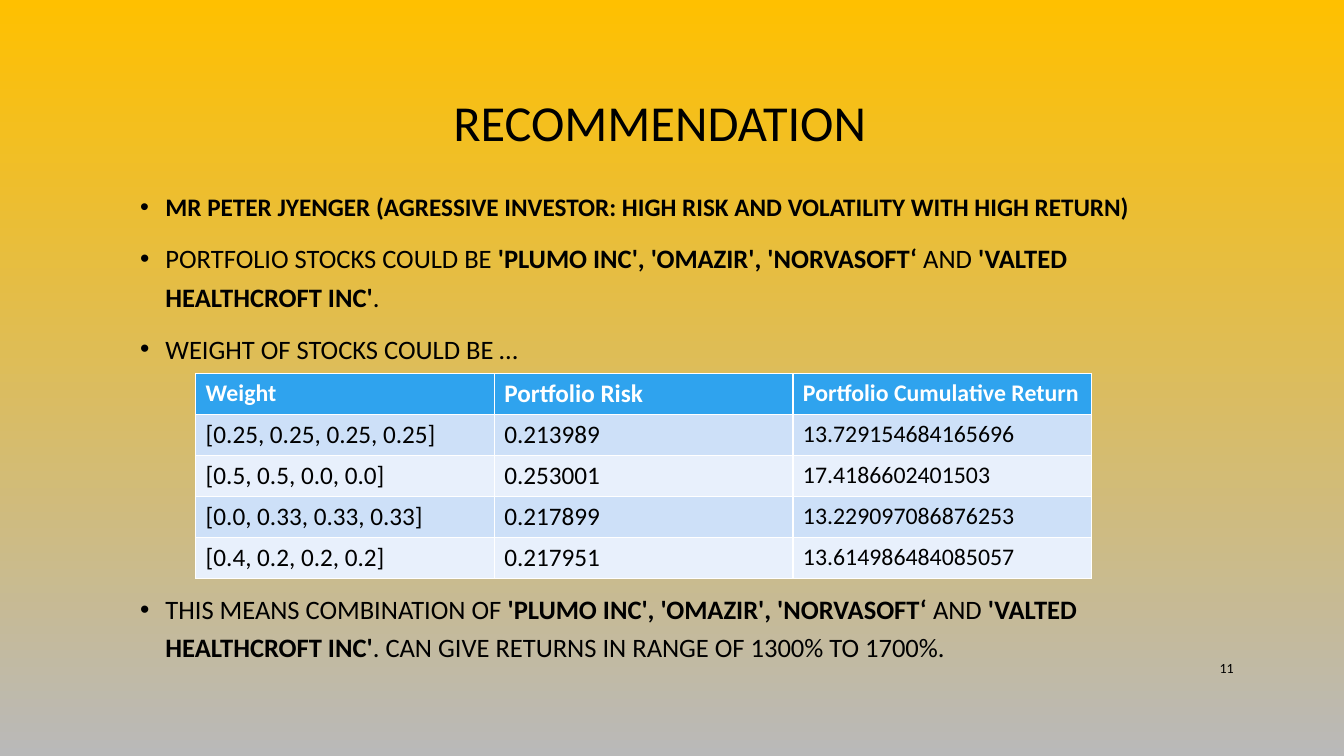
import pptx
import pptx.dml.color
import pptx.enum.text
import pptx.util

Cm = pptx.util.Cm
Pt = pptx.util.Pt
ALIGN = pptx.enum.text.PP_ALIGN
ANCHOR = pptx.enum.text.MSO_ANCHOR

COLOURS = {
    "amber": "FFC000",
    "grey": "B9B9B9",
    "black": "000000",
    "white": "FFFFFF",
    "header": "2FA3EE",
    "odd row": "CDE0F8",
    "even row": "E8F0FC",
}

STOCKS = [
    ("'PLUMO INC', 'OMAZIR', 'NORVASOFT‘ ", True),
    ("AND ", False),
    ("'VALTED HEALTHCROFT INC'", True),
]
BULLETS = [
    (18, 10, [("MR PETER JYENGER (AGRESSIVE INVESTOR: HIGH RISK AND VOLATILITY WITH HIGH RETURN)", True)]),
    (19, 10, [("PORTFOLIO STOCKS COULD BE ", False), *STOCKS, (".", False)]),
    (19, 10, [("WEIGHT OF STOCKS COULD BE …", False)]),
    (19, 158.5, [("THIS MEANS COMBINATION OF ", False), *STOCKS,
                 (". CAN GIVE RETURNS IN RANGE OF 1300% TO 1700%.", False)]),
]
PORTFOLIOS = [
    ("Weight", "Portfolio Risk", "Portfolio Cumulative Return"),
    ("[0.25, 0.25, 0.25, 0.25]", "0.213989", "13.729154684165696"),
    ("[0.5, 0.5, 0.0, 0.0]", "0.253001", "17.4186602401503"),
    ("[0.0, 0.33, 0.33, 0.33]", "0.217899", "13.229097086876253"),
    ("[0.4, 0.2, 0.2, 0.2]", "0.217951", "13.614986484085057"),
]


def colour(name):
    """Return the named colour as an RGB value."""
    return pptx.dml.color.RGBColor.from_string(COLOURS[name])


def write(para, text, *, size, shade="black", bold=False, align=None):
    """Add one formatted span of text to a paragraph."""
    span = para.add_run()
    span.text = text
    span.font.name = "Calibri"
    span.font.size = Pt(size)
    span.font.bold = bold
    span.font.color.rgb = colour(shade)
    if align is not None:
        para.alignment = align


def place(shape, box):
    """Move a shape into a box of left, top, width and height in centimetres."""
    shape.left, shape.top, shape.width, shape.height = map(Cm, box)


def paint_background(page):
    """Fill the page from amber at the top to grey at the bottom."""
    fill = page.background.fill
    fill.gradient()
    fill.gradient_angle = 270
    for stop, name in zip(fill.gradient_stops, ("amber", "grey")):
        stop.color.rgb = colour(name)


def add_title(page, box):
    """Put the heading in the title placeholder."""
    title = page.shapes.title
    place(title, box)
    frame = title.text_frame
    frame.vertical_anchor = ANCHOR.MIDDLE
    para = frame.paragraphs[0]
    para.line_spacing = 0.9
    write(para, "RECOMMENDATION", size=36, align=ALIGN.CENTER)


def add_bullets(page, box):
    """Put the advice in the body placeholder, with a gap for the table."""
    body = page.placeholders[1]
    place(body, box)
    frame = body.text_frame
    frame.auto_size = pptx.enum.text.MSO_AUTO_SIZE.NONE
    for index, (size, gap, spans) in enumerate(BULLETS):
        para = frame.add_paragraph() if index else frame.paragraphs[0]
        para.line_spacing = 1.2
        para.space_before = Pt(gap)
        properties = para._p.get_or_add_pPr()
        properties.set("marL", str(Pt(18)))
        properties.set("indent", str(-Pt(18)))
        for text, bold in spans:
            write(para, text, size=size, bold=bold)


def add_portfolios(page, box):
    """Draw the table of weights, risks and returns."""
    table = page.shapes.add_table(len(PORTFOLIOS), len(PORTFOLIOS[0]), *map(Cm, box)).table
    for row, values in enumerate(PORTFOLIOS):
        header = row == 0
        band = "header" if header else "odd row" if row % 2 else "even row"
        for column, text in enumerate(values):
            cell = table.cell(row, column)
            cell.fill.solid()
            cell.fill.fore_color.rgb = colour(band)
            small = column == 2 or (header and column == 0)
            write(cell.text_frame.paragraphs[0], text, size=17 if small else 18,
                  shade="white" if header else "black", bold=header)


def add_page_number(page, box):
    """Write the page number at the lower right."""
    frame = page.shapes.add_textbox(*map(Cm, box)).text_frame
    frame.word_wrap = True
    frame.vertical_anchor = ANCHOR.MIDDLE
    write(frame.paragraphs[0], "11", size=10, align=ALIGN.RIGHT)


def main():
    """Build and save the recommendation slide."""
    deck = pptx.Presentation()
    deck.slide_width, deck.slide_height = Cm(33.87), Cm(19.05)
    page = deck.slides.add_slide(deck.slide_layouts[1])
    paint_background(page)
    add_title(page, (2.24, 1.73, 28.78, 2.84))
    add_bullets(page, (3.28, 4.55, 26.7, 12.55))
    add_page_number(page, (29.21, 16.33, 2.13, 1.02))
    add_portfolios(page, (4.93, 9.42, 22.58, 5.15))
    deck.save("out.pptx")


if __name__ == "__main__":
    main()
